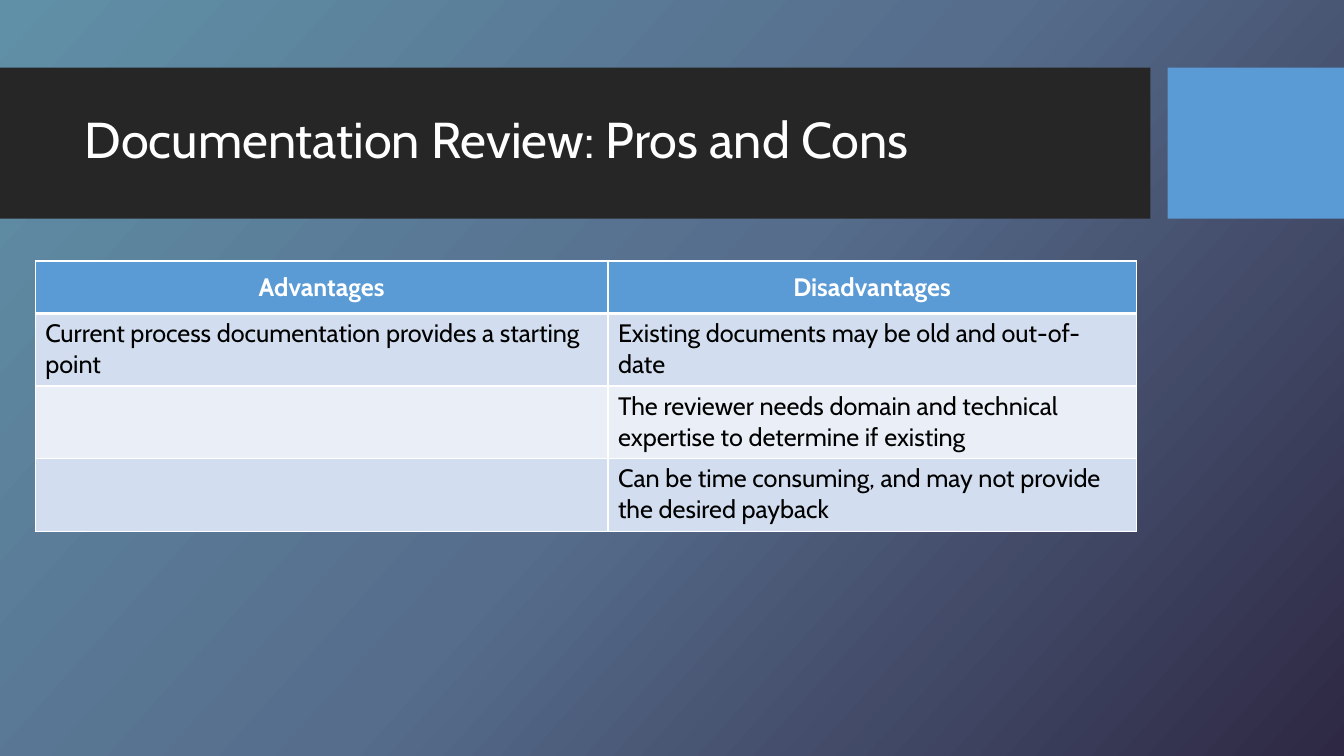
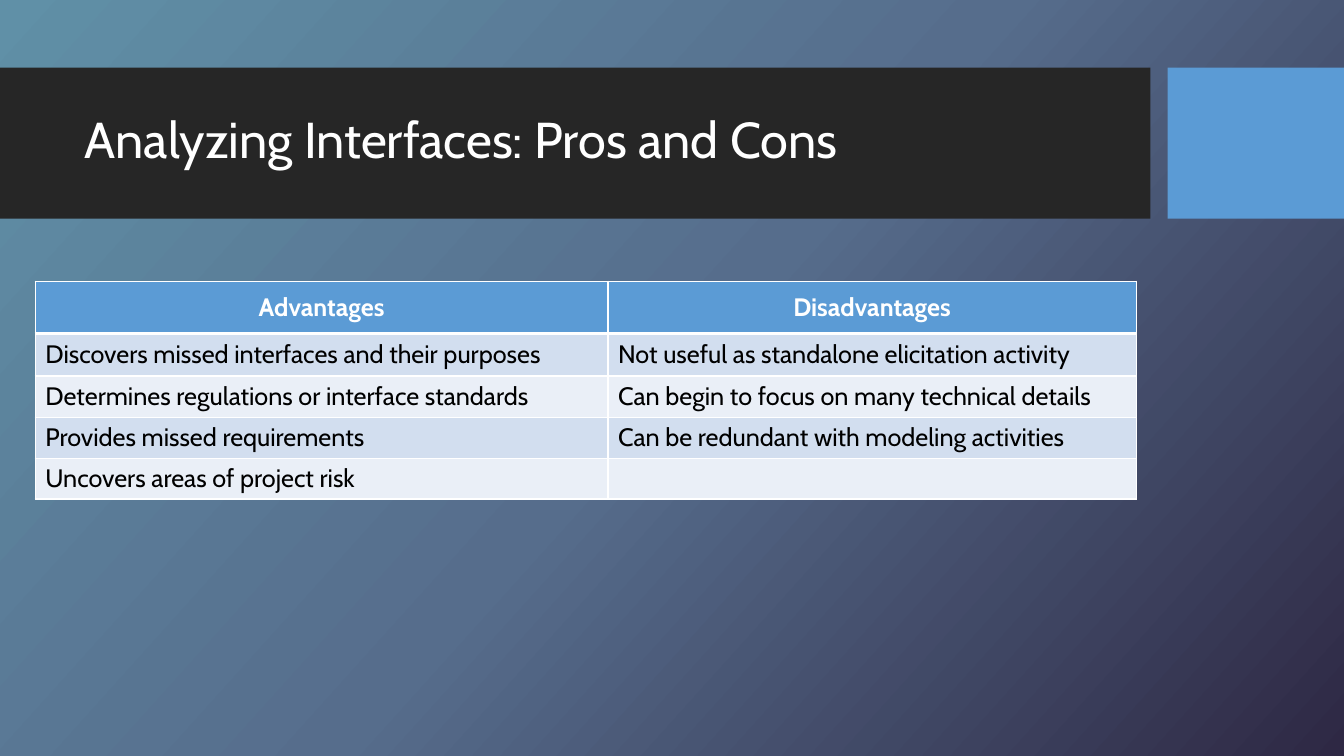
from copy import deepcopy
from pptx import Presentation
from pptx.dml.color import RGBColor
from pptx.enum.shapes import MSO_SHAPE
from pptx.enum.text import MSO_ANCHOR, MSO_AUTO_SIZE, PP_ALIGN
from pptx.oxml import parse_xml
from pptx.oxml.ns import nsdecls, qn
from pptx.util import Inches, Pt

FONT = "Cabin"
WHITE = RGBColor(0xFF, 0xFF, 0xFF)
BLACK = RGBColor(0, 0, 0)
DARK = RGBColor(0x26, 0x26, 0x26)
BLUE = RGBColor(0x5B, 0x9B, 0xD5)
STRIPES = (RGBColor(0xD2, 0xDE, 0xEF), RGBColor(0xEA, 0xEF, 0xF7))
STOPS = (
    (0, RGBColor(0x60, 0x90, 0xA7)),
    (0.5, RGBColor(0x56, 0x6D, 0x8C)),
    (1, RGBColor(0x2E, 0x28, 0x44)),
)
BANDS = ((0, 11.41, DARK), (11.58, 1.75, BLUE))
HEADS = ("Advantages", "Disadvantages")
COLS = (5.68, 5.24)

SLIDES = [
    {
        "title": "Documentation Review: Pros and Cons",
        "top": 2.59,
        "heights": (0.52, 0.72, 0.72, 0.72),
        "rows": [
            ("Current process documentation provides a starting point",
             "Existing documents may be old and out-of-date"),
            ("", "The reviewer needs domain and technical expertise to determine if existing"),
            ("", "Can be time consuming, and may not provide the desired payback"),
        ],
    },
    {
        "title": "Analyzing Interfaces: Pros and Cons",
        "top": 2.79,
        "heights": (0.52, 0.42, 0.41, 0.38, 0.38),
        "rows": [
            ("Discovers missed interfaces and their purposes",
             "Not useful as standalone elicitation activity"),
            ("Determines regulations or interface standards",
             "Can begin to focus on many technical details"),
            ("Provides missed requirements", "Can be redundant with modeling activities"),
            ("Uncovers areas of project risk", ""),
        ],
    },
]


def style(par, size, color, bold=False):
    font = par.font
    if par.runs:
        font = par.runs[0].font
    font.name, font.size, font.bold = FONT, Pt(size), bold
    font.color.rgb = color


def set_back(layout):
    fill = layout.background.fill
    fill.gradient()
    fill.gradient_angle = 360 - 42
    stops = next(layout.element.iter(qn("a:gsLst")))
    stops.append(deepcopy(stops[-1]))
    for stop, (place, color) in zip(fill.gradient_stops, STOPS):
        stop.position = place
        stop.color.rgb = color


def add_title(slide, text):
    title = slide.shapes.title
    title.left, title.top = Inches(0.74), Inches(0.82)
    title.width, title.height = Inches(10.51), Inches(1.18)
    for left, width, color in BANDS:
        band = slide.shapes.add_shape(
            MSO_SHAPE.RECTANGLE, Inches(left), Inches(0.67), Inches(width), Inches(1.5))
        band.shadow.inherit = False
        band.fill.solid()
        band.fill.fore_color.rgb = color
        band.line.fill.background()
        title.element.addprevious(band.element)
    frame = title.text_frame
    frame.text = text
    frame.word_wrap = True
    frame.auto_size = MSO_AUTO_SIZE.NONE
    frame.vertical_anchor = MSO_ANCHOR.MIDDLE
    par = frame.paragraphs[0]
    par.alignment = PP_ALIGN.LEFT
    par.line_spacing = 0.9
    style(par, 36, WHITE)


def set_edges(cell, row):
    widths = {"L": 1, "R": 1, "T": 3 if row == 1 else 1, "B": 3 if row == 0 else 1}
    props = cell._tc.get_or_add_tcPr()
    for spot, (side, width) in enumerate(widths.items()):
        props.insert(spot, parse_xml(
            f'<a:ln{side} {nsdecls("a")} w="{Pt(width)}"><a:solidFill>'
            f'<a:srgbClr val="{WHITE}"/></a:solidFill></a:ln{side}>'))


def add_grid(slide, top, heights, rows):
    table = slide.shapes.add_table(
        len(heights), len(COLS), Inches(0.35), Inches(top),
        Inches(sum(COLS)), Inches(sum(heights))).table
    for col, width in zip(table.columns, COLS):
        col.width = Inches(width)
    for r, (height, texts) in enumerate(zip(heights, [HEADS] + rows)):
        table.rows[r].height = Inches(height)
        head = r == 0
        for c, text in enumerate(texts):
            cell = table.cell(r, c)
            cell.text = text
            cell.fill.solid()
            cell.fill.fore_color.rgb = BLUE if head else STRIPES[(r - 1) % 2]
            cell.vertical_anchor = MSO_ANCHOR.MIDDLE if head else MSO_ANCHOR.TOP
            par = cell.text_frame.paragraphs[0]
            par.alignment = PP_ALIGN.CENTER if head else PP_ALIGN.LEFT
            style(par, 18, WHITE if head else BLACK, head)
            set_edges(cell, r)


def main():
    deck = Presentation()
    deck.slide_width, deck.slide_height = Inches(13.33), Inches(7.5)
    layout = deck.slide_layouts.get_by_name("Title Only")
    set_back(layout)
    for page in SLIDES:
        slide = deck.slides.add_slide(layout)
        add_title(slide, page["title"])
        add_grid(slide, page["top"], page["heights"], page["rows"])
    deck.save("out.pptx")


if __name__ == "__main__":
    main()
